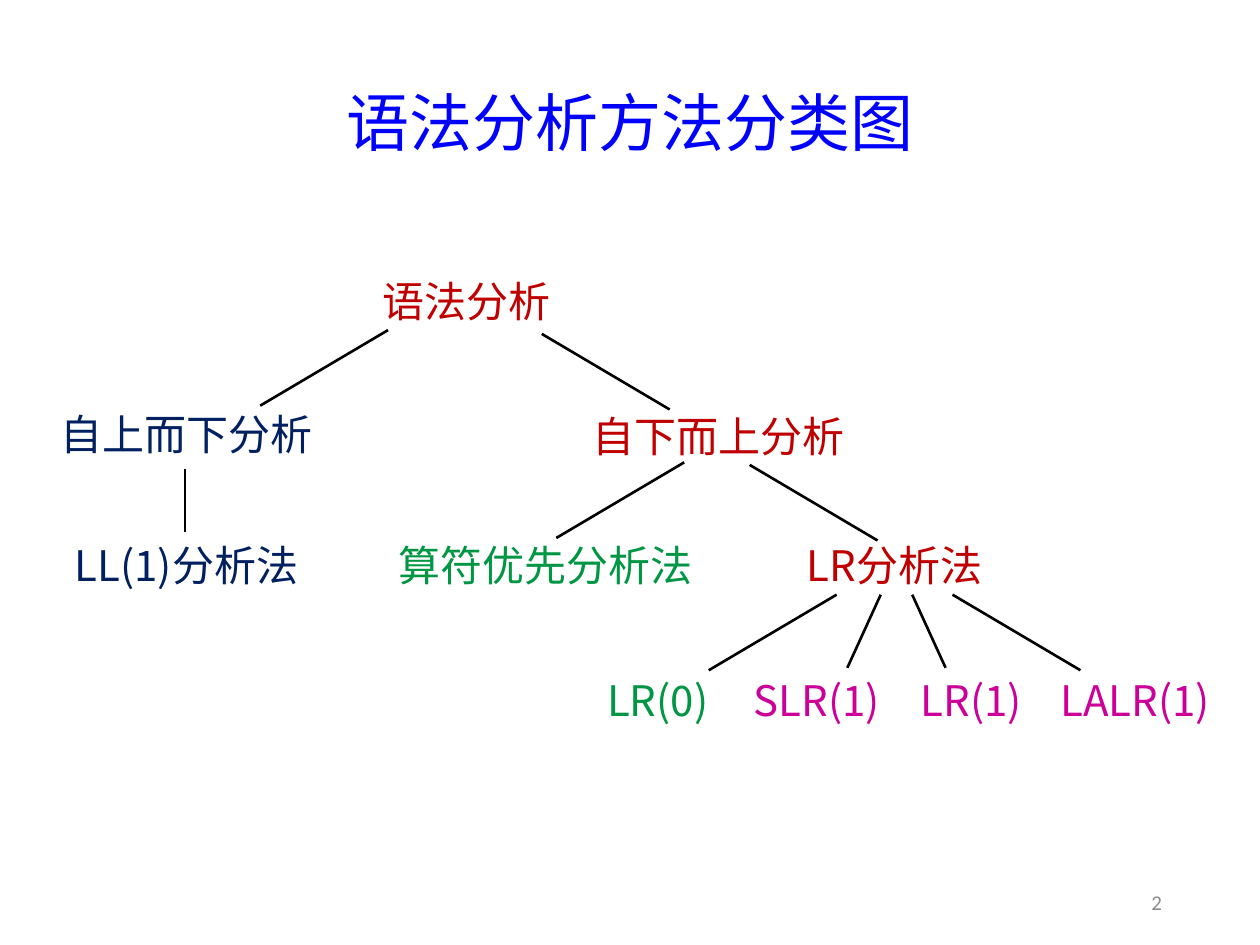
from pptx import Presentation
from pptx.dml.color import RGBColor
from pptx.enum.shapes import MSO_CONNECTOR as CONN
from pptx.enum.text import MSO_ANCHOR as ANCHOR, MSO_AUTO_SIZE as FIT, PP_ALIGN as ALIGN
from pptx.oxml.ns import qn
from pptx.util import Inches, Pt
from lxml.etree import SubElement

CJK = "Noto Sans CJK SC"
NAVY, RED, GREEN, MAGENTA = "002060", "C00000", "009644", "CC0099"
LABEL_H = 5.8
SLOPE = (10.15, 6)   # columns and rows that a wide branch spans
STEEP = (2.65, 5.8)  # the same for a narrow branch

# row of each level: (left, width, text, colour)
LEVELS = {
    21: [(25, 24, "语法分析", RED)],
    31.5: [(2.8, 24, "自上而下分析", NAVY)],
    31.7: [(45, 24, "自下而上分析", RED)],
    41.9: [(2.8, 24, "LL(1)分析法", NAVY),
           (30.3, 26, "算符优先分析法", GREEN),
           (59, 24, "LR分析法", RED)],
    52.6: [(46.2, 12, "LR(0)", GREEN),
           (57.7, 14.3, "SLR(1)", MAGENTA),
           (70.6, 13, "LR(1)", MAGENTA),
           (83.1, 14, "LALR(1)", MAGENTA)],
}

# start column, start row, direction (-1 left, 1 right, 0 down), span
BRANCHES = [
    (30.8, 26.2, -1, SLOPE), (43, 26.5, 1, SLOPE),
    (54.3, 36.7, -1, SLOPE), (59.5, 36.9, 1, SLOPE),
    (66.4, 47.2, -1, SLOPE), (69.9, 47.2, -1, STEEP),
    (72.4, 47.2, 1, STEEP), (75.6, 47.2, 1, SLOPE),
    (14.7, 37.2, 0, (0, 5)),
]


def rgb(code):
    return RGBColor.from_string(code)


def grid(*cells):
    """Lengths on a grid of 100 columns by 75 rows, in tenths of an inch."""
    return [Inches(c / 10) for c in cells]


def write(tf, text, size=24, color="000000", font=CJK, align=ALIGN.CENTER, spacing=None):
    tf.word_wrap = True
    tf.auto_size = FIT.NONE
    tf.vertical_anchor = ANCHOR.MIDDLE
    p = tf.paragraphs[0]
    p.alignment, p.line_spacing = align, spacing
    r = p.add_run()
    r.text = text
    r.font.size, r.font.name = Pt(size), font
    r.font.color.rgb = rgb(color)
    SubElement(r.font._element, qn("a:ea")).set("typeface", font)


class TreeSlide:
    def __init__(self, prs):
        self.s = prs.slides.add_slide(prs.slide_layouts[5])
        self.line_color, self.line_width = "000000", Pt(1.5)

    def title(self, text):
        sp = self.s.shapes.title
        sp.left, sp.top, sp.width, sp.height = grid(6.9, 4, 86.2, 12)
        write(sp.text_frame, text, size=36, color="0000FF", spacing=0.9)

    def text(self, shapes, x, y, w, h, text, **fmt):
        sp = shapes.add_textbox(*grid(x, y, w, h))
        write(sp.text_frame, text, **fmt)

    def branch(self, shapes, x, y, direction, span):
        dx, dy = span
        ln = shapes.add_connector(CONN.STRAIGHT, *grid(x, y, x + direction * dx, y + dy))
        ln.line.color.rgb = rgb(self.line_color)
        ln.line.width = self.line_width
        SubElement(ln._element.spPr, qn("a:effectLst"))

    def tree(self, levels, branches):
        shapes = self.s.shapes.add_group_shape().shapes
        for row, labels in levels.items():
            for x, w, text, color in labels:
                self.text(shapes, x, row, w, LABEL_H, text, color=color)
        for branch in branches:
            self.branch(shapes, *branch)

    def page_number(self, number):
        self.text(self.s.shapes, 86.7, 69.7, 6.5, 3.8, number, size=12,
                  color="8C8C8C", font="Calibri", align=ALIGN.RIGHT)


def main():
    prs = Presentation()
    prs.slide_width, prs.slide_height = grid(100, 75)
    slide = TreeSlide(prs)
    slide.title("语法分析方法分类图")
    slide.page_number("2")
    slide.tree(LEVELS, BRANCHES)
    prs.save("out.pptx")


if __name__ == "__main__":
    main()
